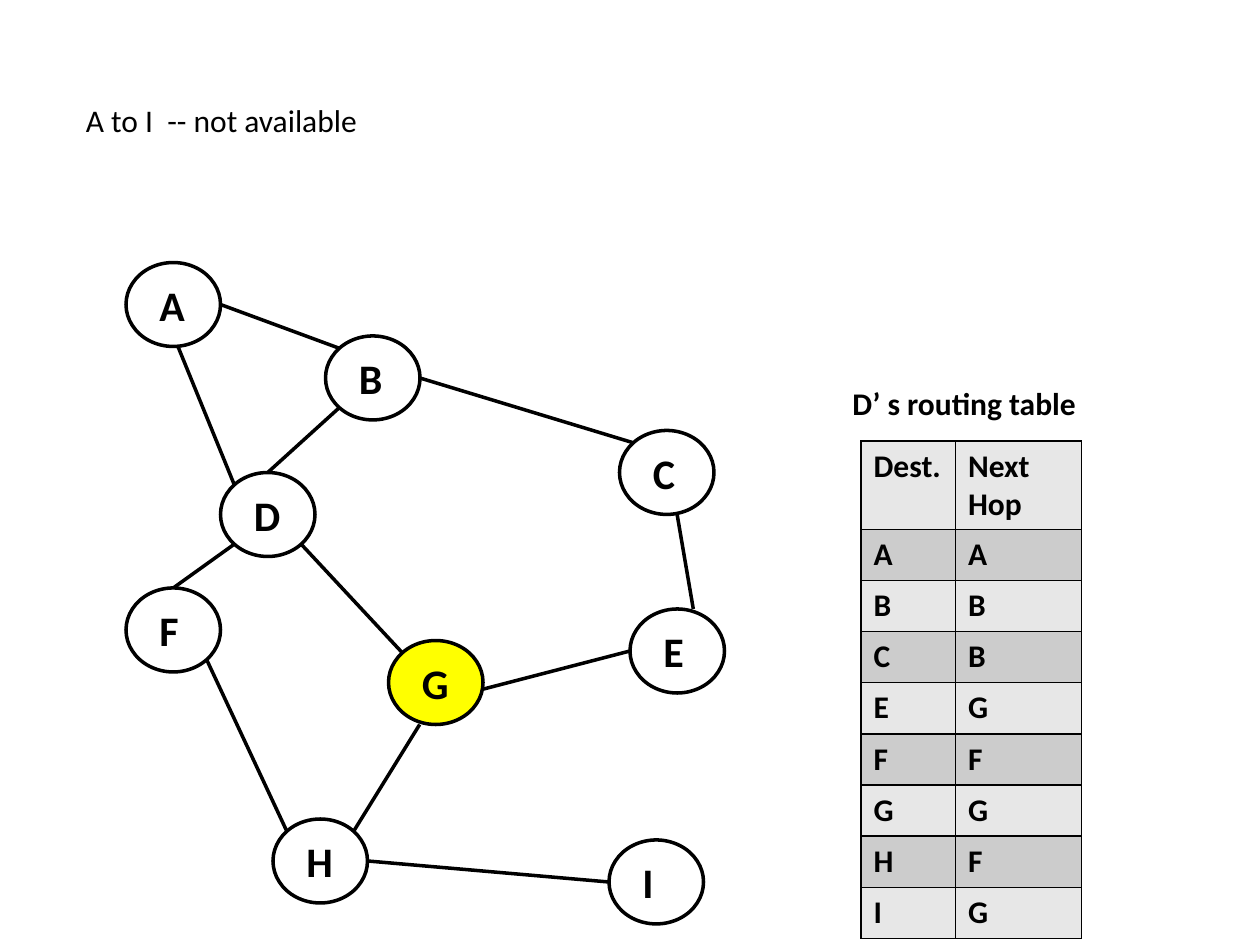
import dataclasses

import pptx
import pptx.dml.color
import pptx.enum.shapes
import pptx.enum.text
import pptx.oxml
import pptx.oxml.ns
import pptx.util
from pptx.util import Pt


@dataclasses.dataclass(frozen=True)
class Theme:
    """Colours, font and sizes of the slide."""
    font: str = "Calibri"
    ink: str = "000000"
    marked: str = "FFFF00"
    light: str = "E7E7E7"
    dark: str = "CCCCCC"
    body: int = 18
    node: int = 24
    line: int = 2
    border: int = 1


THEME = Theme()
NODE_W, NODE_H = 54, 48

NODES = {
    "A": (0, 0, 29.4), "B": (114, 42, 28), "D": (54, 120, 29.4),
    "F": (0, 186, 26), "C": (282, 96, 27.4), "E": (288, 198, 26.8),
    "G": (150, 216, 30), "H": (84, 318, 29.4), "I": (276, 330, 20.6),
}
NEAR = (1 - 0.5 ** 0.5) / 2
FAR = 1 - NEAR
TOP, LEFT, RIGHT = (0.5, 0), (0, 0.5), (1, 0.5)
TOP_LEFT, TOP_RIGHT = (NEAR, NEAR), (FAR, NEAR)
LOW_LEFT, LOW_RIGHT = (NEAR, FAR), (FAR, FAR)
LINKS = [
    ("A", RIGHT, "B", TOP_LEFT), ("A", (0.55, 1), "D", TOP_LEFT),
    ("D", LOW_LEFT, "F", TOP), ("B", LOW_LEFT, "D", TOP),
    ("B", RIGHT, "C", TOP_LEFT), ("G", TOP_LEFT, "D", LOW_RIGHT),
    ("E", (0.67, 0), "C", (0.61, 1)), ("H", TOP_LEFT, "F", LOW_RIGHT),
    ("I", LEFT, "H", RIGHT), ("G", (0.33, 1), "H", TOP_RIGHT),
    ("E", LEFT, "G", (1, 0.58)),
]
ROUTES = [("Dest.", "Next Hop"), *zip("ABCEFGHI", "ABBGFGFG")]


def rgb(value):
    """Turn a hex string into a colour."""
    return pptx.dml.color.RGBColor.from_string(value)


def write(tf, text, size, bold=True):
    """Put one formatted run into a text frame."""
    r = tf.paragraphs[0].add_run()
    r.text = text
    for name, value in {"name": THEME.font, "size": Pt(size), "bold": bold}.items():
        setattr(r.font, name, value)
    r.font.color.rgb = rgb(THEME.ink)


def add_label(s, box, text, size, bold=True):
    """Add an unwrapped text box."""
    tf = s.shapes.add_textbox(*map(Pt, box)).text_frame
    tf.word_wrap = False
    tf.auto_size = pptx.enum.text.MSO_AUTO_SIZE.SHAPE_TO_FIT_TEXT
    write(tf, text, size, bold)


def set_line(shape):
    """Give a shape or connector the diagram line."""
    shape.line.color.rgb = rgb(THEME.ink)
    shape.line.width = Pt(THEME.line)


def add_node(s, x, y, name, label_w):
    """Draw one router with its letter."""
    sp = s.shapes.add_shape(pptx.enum.shapes.MSO_SHAPE.OVAL,
                            Pt(x), Pt(y), Pt(NODE_W), Pt(NODE_H))
    sp.shadow.inherit = False
    set_line(sp)
    if name == "G":
        sp.fill.solid()
        sp.fill.fore_color.rgb = rgb(THEME.marked)
    else:
        sp.fill.background()
    add_label(s, (x + 12, y + 6, label_w, 36), name, THEME.node)


def add_network(s, left, top):
    """Draw the routers and the links between them."""
    for name, (x, y, label_w) in NODES.items():
        add_node(s, left + x, top + y, name, label_w)

    def point(name, site):
        """Locate a site on a router's box."""
        x, y, _ = NODES[name]
        return Pt(left + x + site[0] * NODE_W), Pt(top + y + site[1] * NODE_H)

    for start, start_site, end, end_site in LINKS:
        link = s.shapes.add_connector(pptx.enum.shapes.MSO_CONNECTOR.STRAIGHT,
                                      *point(start, start_site), *point(end, end_site))
        set_line(link)
        pptx.oxml.ns.qn("a:effectLst")
        link._element.spPr.append(pptx.oxml.parse_xml(
            f'<a:effectLst {pptx.oxml.ns.nsdecls("a")}/>'))


def set_borders(cell):
    """Draw the four borders of a cell."""
    tc_pr = cell._tc.get_or_add_tcPr()
    for index, side in enumerate(("lnL", "lnR", "lnT", "lnB")):
        tc_pr.insert(index, pptx.oxml.parse_xml(
            f'<a:{side} {pptx.oxml.ns.nsdecls("a")} w="{Pt(THEME.border)}"><a:solidFill>'
            f'<a:srgbClr val="{THEME.ink}"/></a:solidFill></a:{side}>'))


def add_routing_table(s, left, top, width, height):
    """Place the routing table with its caption."""
    add_label(s, (left - 12, top - 36, 143.3, 29), "D’ s routing table", THEME.body)
    table = s.shapes.add_table(len(ROUTES), 2, *map(Pt, (left, top, width, height))).table
    for column, column_w in zip(table.columns, (54, width - 54)):
        column.width = Pt(column_w)
    row_h = 29.25
    for index, route in enumerate(ROUTES):
        table.rows[index].height = Pt(row_h if index else height - row_h * (len(ROUTES) - 1))
        for cell, text in zip(table.rows[index].cells, route):
            cell.fill.solid()
            cell.fill.fore_color.rgb = rgb(THEME.dark if index % 2 else THEME.light)
            set_borders(cell)
            write(cell.text_frame, text, THEME.body)


def main():
    """Build and save the slide."""
    prs = pptx.Presentation()
    prs.slide_width, prs.slide_height = Pt(720), Pt(540)
    s = prs.slides.add_slide(prs.slide_layouts[6])
    add_network(s, 72, 150)
    add_label(s, (42, 54, 175.7, 29), "A to I  -- not available", THEME.body, False)
    add_routing_table(s, 492, 252, 126, 284.4)
    prs.save("out.pptx")


if __name__ == "__main__":
    main()
